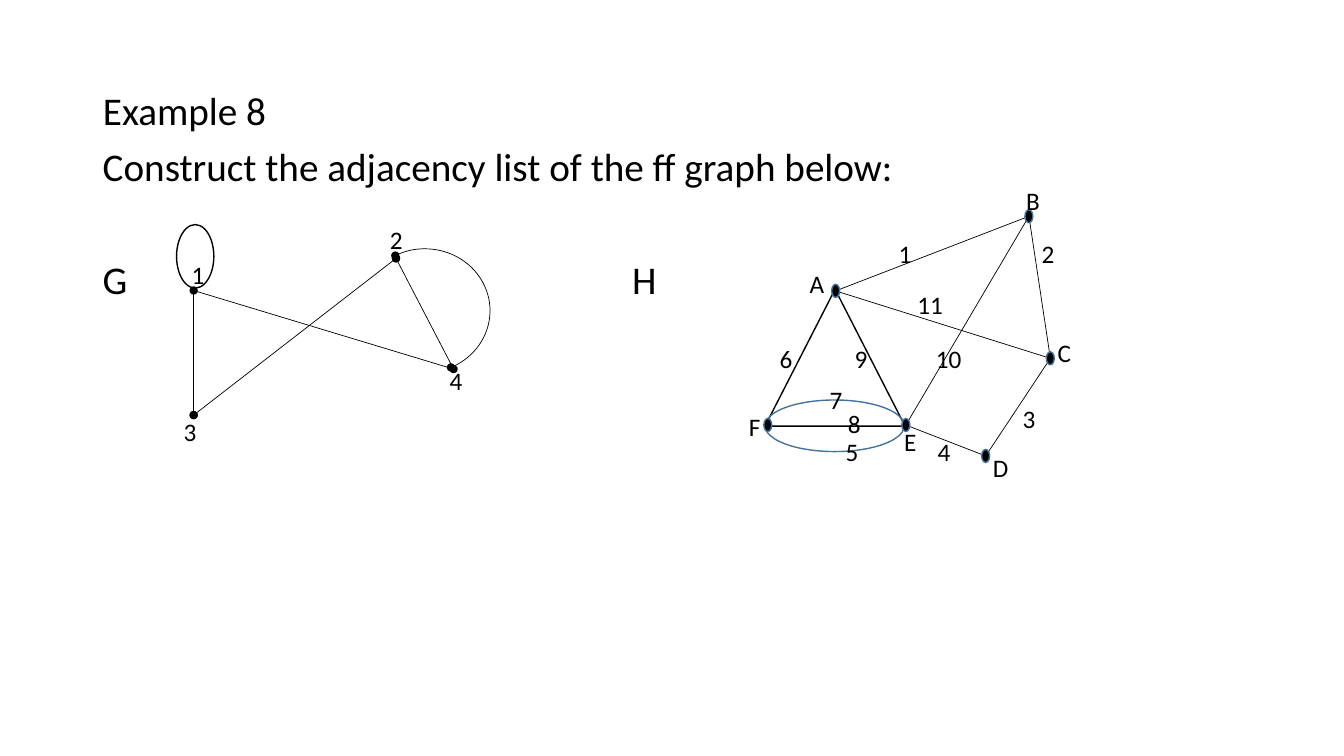
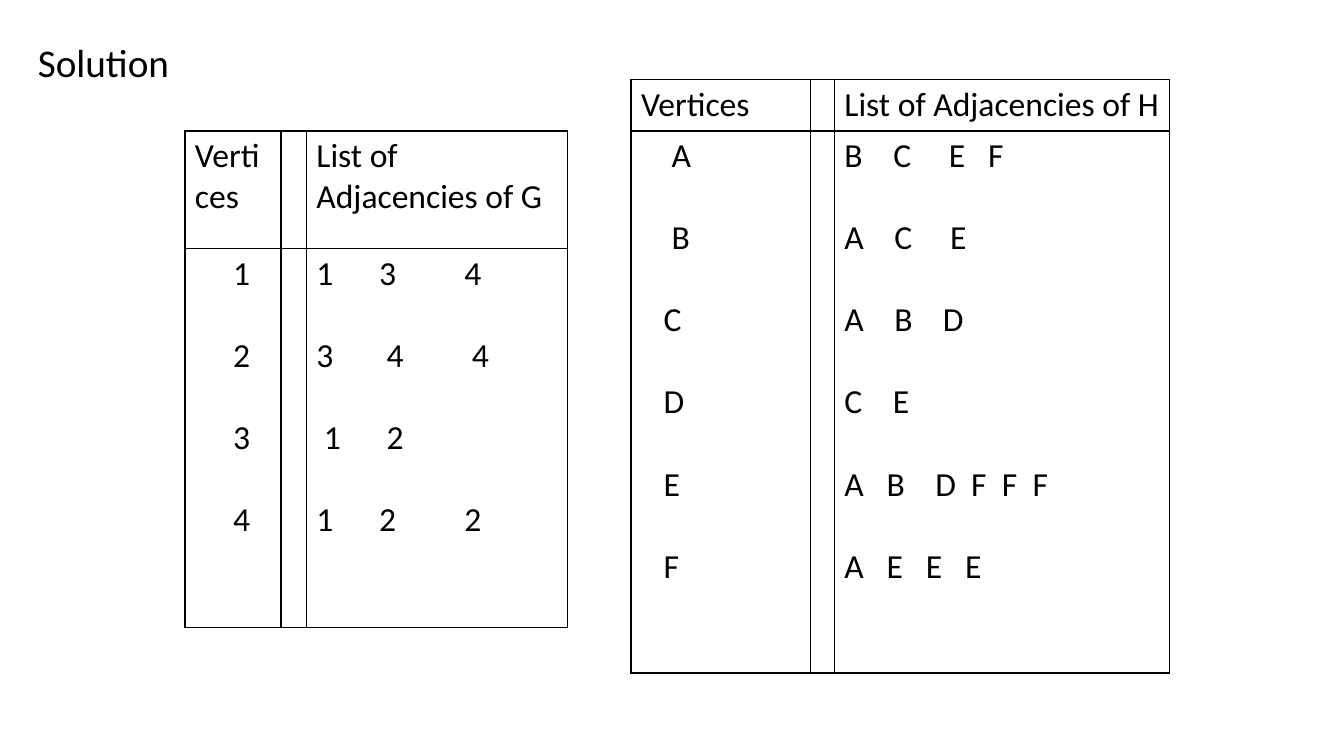
from lxml.etree import SubElement
from pptx import Presentation
from pptx.dml.color import RGBColor
from pptx.enum.shapes import MSO_CONNECTOR as Link, MSO_SHAPE as Shape
from pptx.enum.text import MSO_ANCHOR as Anchor, MSO_AUTO_SIZE as AutoSize, PP_ALIGN as Align
from pptx.oxml.ns import qn
from pptx.util import Cm, Pt

FONT = "Calibri"
COLOURS = {"ink": "000000", "blue": "43739E"}
HEADING_SIZE, TABLE_SIZE, LABEL_SIZE = 28, 24, 18
THIN, MEDIUM = 0.5, 1
LABEL_WIDTH, LABEL_HEIGHT = 1.6, 1.02
ROW_GAP = 29.3

# Graph G: centres in cm
G_VERTICES = {"1": (4.88, 7.32), "2": (9.98, 6.51), "3": (4.88, 10.46), "4": (11.43, 9.3)}
G_DOTTED_EDGES = ["32", "13", "24"]
G_LABELS = [("1", 4.99, 6.91), ("2", 9.99, 6.05), ("3", 4.79, 10.87), ("4", 11.49, 9.58)]

# Graph H: centres in cm
H_VERTICES = {"A": (21.06, 7.33), "B": (25.93, 5.45), "C": (26.47, 9.03),
              "D": (24.84, 11.49), "E": (22.83, 10.71), "F": (19.35, 10.71)}
H_EDGES = ["AB", "BC", "CD", "DE", "BE", "AC"]
H_LABELS = [
    ("A", 20.59, 7.14), ("B", 26.03, 5.05), ("C", 26.82, 8.89),
    ("D", 25.22, 11.79), ("E", 22.94, 11.13), ("F", 19.02, 10.74),
    ("1", 22.81, 6.38), ("2", 26.41, 6.38), ("3", 25.93, 10.54),
    ("4", 23.79, 11.38), ("5", 21.47, 11.38), ("6", 19.81, 9.04),
    ("7", 21.07, 10.08), ("8", 21.53, 10.67), ("9", 21.7, 9.04),
    ("10", 23.91, 9.04), ("11", 23.44, 7.67),
]

# Adjacency rows: vertex, its indent, neighbours, tab stops in cm
G_ROWS = [
    ("1", 0.96, "1\t3\t4", (1.58, 3.73)),
    ("2", 0.96, "3\t4\t4", (1.77, 3.92)),
    ("3", 0.96, "\t1\t2", (0.19, 1.77)),
    ("4", 0.96, "1\t2\t2", (1.58, 3.73)),
]
H_ROWS = [
    ("A", 0.77, "B\tC\tE\tF", (1.23, 2.63, 3.62)),
    ("B", 0.77, "A\tC\tE", (1.26, 2.66)),
    ("C", 0.57, "A\tB\tD", (1.26, 2.48)),
    ("D", 0.57, "C\tE", (1.22,)),
    ("E", 0.57, "A\tB\tD\tF\tF\tF", (1.06, 2.29, 3.19, 3.97, 4.74)),
    ("F", 0.57, "A\tE\tE\tE", (1.06, 2.05, 3.04)),
]


def colour(name):
    return RGBColor.from_string(COLOURS[name])


def write(para, text, size=LABEL_SIZE, align=Align.LEFT, spacing=None, before=0, indent=0, stops=()):
    """Put formatted text into a paragraph."""
    props = para._p.get_or_add_pPr()
    if indent:
        props.set("marL", str(Cm(indent)))
        props.set("indent", "0")
    if stops:
        tabs = SubElement(props, qn("a:tabLst"))
        for stop in stops:
            SubElement(tabs, qn("a:tab"), pos=str(Cm(stop)), algn="l")
    para.alignment = align
    para.space_before = Pt(before)
    if spacing:
        para.line_spacing = spacing
    span = para.add_run()
    span.text = text
    span.font.name = FONT
    span.font.size = Pt(size)
    span.font.bold = False
    span.font.color.rgb = colour("ink")


def add_page(deck, title, left, top):
    page = deck.slides.add_slide(deck.slide_layouts[5])
    box = page.shapes.title
    box.left, box.top, box.width, box.height = Cm(left), Cm(top), Cm(12), Cm(1.4)
    frame = box.text_frame
    frame.auto_size = AutoSize.NONE
    frame.vertical_anchor = Anchor.TOP
    write(frame.paragraphs[0], title, size=HEADING_SIZE, spacing=0.9)
    return page


def add_text(page, text, left, top, width, height, wrap=True, **style):
    box = page.shapes.add_textbox(Cm(left), Cm(top), Cm(width), Cm(height))
    box.text_frame.word_wrap = wrap
    write(box.text_frame.paragraphs[0], text, **style)


def add_labels(page, labels):
    for text, x, y in labels:
        add_text(page, text, x - LABEL_WIDTH / 2, y - LABEL_HEIGHT / 2,
                 LABEL_WIDTH, LABEL_HEIGHT, wrap=False, align=Align.CENTER)


def add_oval_ends(shape):
    line = shape.line._get_or_add_ln()
    for end in ("a:headEnd", "a:tailEnd"):
        SubElement(line, qn(end), type="oval")


def add_edge(page, start, finish, dotted=False):
    edge = page.shapes.add_connector(Link.STRAIGHT, *map(Cm, start + finish))
    edge.line.color.rgb = colour("ink")
    edge.line.width = Pt(THIN)
    if dotted:
        add_oval_ends(edge)
    SubElement(edge._element.spPr, qn("a:effectLst"))


def add_outline(page, kind, left, top, width, height, line="ink", weight=MEDIUM, fill=None):
    shape = page.shapes.add_shape(kind, Cm(left), Cm(top), Cm(width), Cm(height))
    shape.shadow.inherit = False
    shape.line.color.rgb = colour(line)
    shape.line.width = Pt(weight)
    if fill:
        shape.fill.solid()
        shape.fill.fore_color.rgb = colour(fill)
    else:
        shape.fill.background()
    return shape


def add_dot(page, x, y, width=0.2, height=0.33):
    add_outline(page, Shape.OVAL, x - width / 2, y - height / 2, width, height,
                line="blue", fill="ink")


def draw_graph_g(page):
    vertices = G_VERTICES
    add_edge(page, vertices["1"], vertices["4"])
    for start, finish in G_DOTTED_EDGES:
        add_edge(page, vertices[start], vertices[finish], dotted=True)
    # Parallel edge from 2 to 4, then the loop at 1
    arc = add_outline(page, Shape.ARC, 9.07, 6.27, 3.28, 3.12, weight=THIN)
    arc.adjustments[0], arc.adjustments[1] = 145.04, 39.2
    add_oval_ends(arc)
    add_outline(page, Shape.OVAL, 4.45, 5.66, 0.94, 1.6)
    add_labels(page, G_LABELS)


def draw_graph_h(page):
    # Edges 6, 8, 9 form the triangle; 5 and 7 form the ellipse
    add_outline(page, Shape.ISOSCELES_TRIANGLE, 19.28, 7.29, 3.53, 3.45)
    add_outline(page, Shape.OVAL, 19.28, 10.08, 3.51, 1.3, line="blue")
    for start, finish in H_EDGES:
        add_edge(page, H_VERTICES[start], H_VERTICES[finish])
    for x, y in H_VERTICES.values():
        add_dot(page, x, y)
    add_labels(page, H_LABELS)


def style_cell(cell):
    cell.fill.background()
    props = cell._tc.get_or_add_tcPr()
    for place, side in enumerate(("a:lnL", "a:lnR", "a:lnT", "a:lnB")):
        border = SubElement(props, qn(side), w=str(Pt(MEDIUM)))
        fill = SubElement(border, qn("a:solidFill"))
        SubElement(fill, qn("a:srgbClr"), val=COLOURS["ink"])
        props.insert(place, border)


def add_adjacency_table(page, graph, entries, left, top, widths, heights):
    frame = page.shapes.add_table(len(heights), len(widths), Cm(left), Cm(top),
                                  Cm(sum(widths)), Cm(sum(heights)))
    table = frame.table
    table.first_row = table.horz_banding = False
    for column, width in zip(table.columns, widths):
        column.width = Cm(width)
    for row, height in zip(table.rows, heights):
        row.height = Cm(height)
    for cell in table.iter_cells():
        style_cell(cell)

    # Header row
    for column, text in ((0, "Vertices"), (2, f"List of Adjacencies of {graph}")):
        write(table.cell(0, column).text_frame.paragraphs[0], text, size=TABLE_SIZE)

    # One paragraph per vertex in both outer columns
    names, lists = table.cell(1, 0).text_frame, table.cell(1, 2).text_frame
    for number, (vertex, indent, neighbours, stops) in enumerate(entries):
        before = ROW_GAP if number else 0
        for body, text, style in ((names, vertex, {"indent": indent}),
                                  (lists, neighbours, {"stops": stops})):
            para = body.add_paragraph() if number else body.paragraphs[0]
            write(para, text, size=TABLE_SIZE, before=before, **style)


def main():
    deck = Presentation()
    deck.slide_width, deck.slide_height = Cm(33.87), Cm(19.05)

    # Exercise
    page = add_page(deck, "Example 8", 2.34, 2.18)
    heading = {"size": HEADING_SIZE, "spacing": 0.9}
    add_text(page, "Construct the adjacency list of the ff graph below:",
             2.34, 3.59, 24, 1.4, **heading)
    for graph, left in (("G", 2.34), ("H", 15.68)):
        add_text(page, graph, left, 6.45, 1.4, 1.4, **heading)
    draw_graph_g(page)
    draw_graph_h(page)

    # Solution
    page = add_page(deck, "Solution", 0.7, 0.98)
    add_adjacency_table(page, "G", G_ROWS, 4.66, 3.3, (2.42, 0.64, 6.58), (2.97, 9.55))
    add_adjacency_table(page, "H", H_ROWS, 15.9, 2.01, (4.52, 0.6, 8.44), (1.29, 13.66))

    deck.save("out.pptx")


if __name__ == "__main__":
    main()
